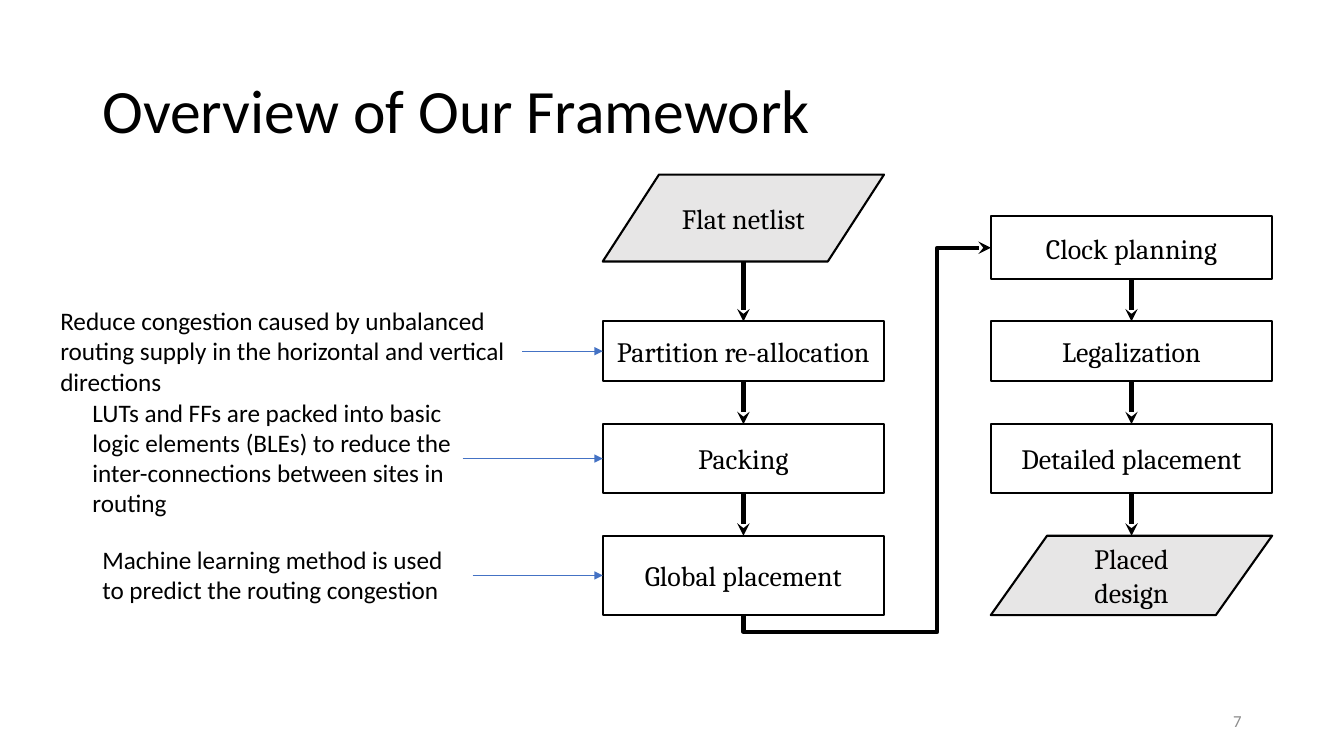
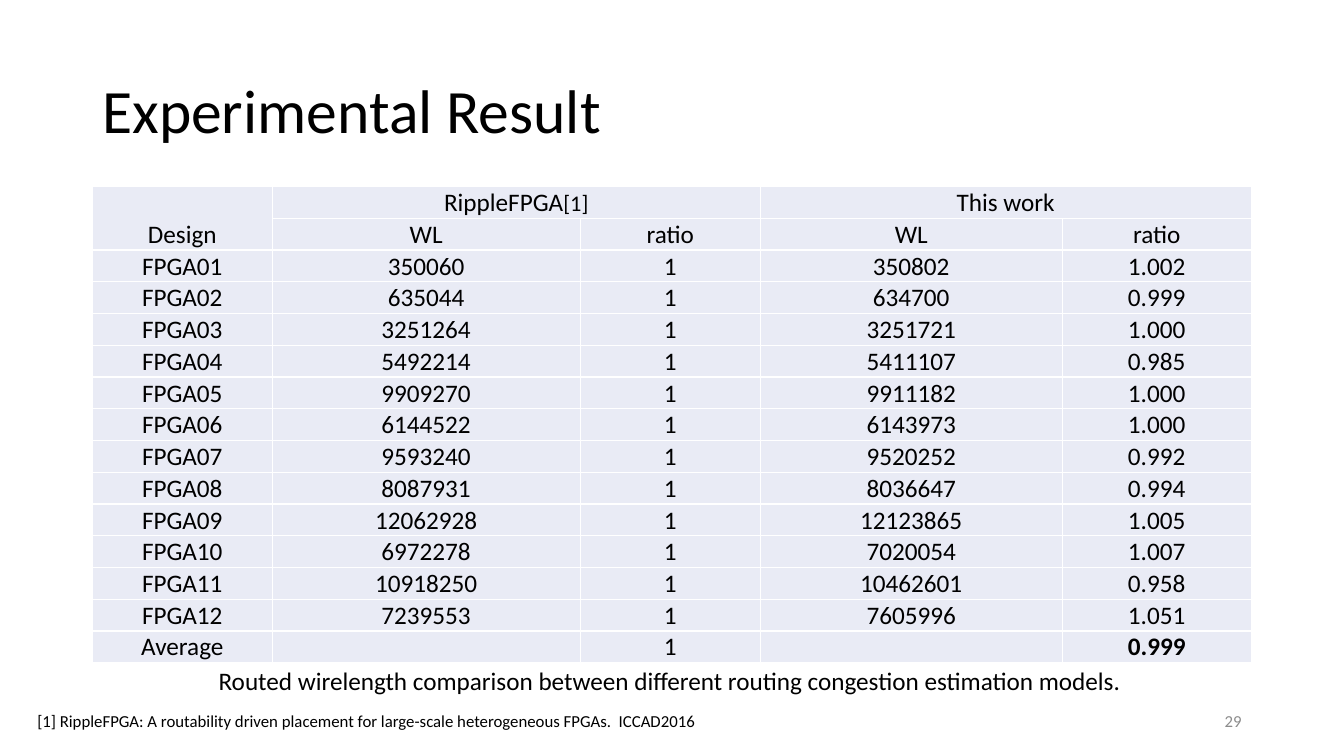
from dataclasses import dataclass

import lxml.etree
import pptx
import pptx.dml.color
import pptx.enum.shapes
import pptx.enum.text
import pptx.oxml.ns
import pptx.util

Cm = pptx.util.Cm
Pt = pptx.util.Pt
qn = pptx.oxml.ns.qn
ALIGN = pptx.enum.text.PP_ALIGN
ANCHOR = pptx.enum.text.MSO_ANCHOR
PRESET = pptx.enum.shapes.MSO_SHAPE
CONNECTOR = pptx.enum.shapes.MSO_CONNECTOR

# Shared look
BODY_FONT, FLOW_FONT = "Calibri", "Cambria"
BLACK, WHITE, GREY = "000000", "FFFFFF", "8C8C8C"
DATA_FILL, NOTE_BLUE, CELL_FILL = "E7E6E6", "4472C4", "E9EBF5"
MARGIN_LEFT, CONTENT_WIDTH = 2.33, 29.2

# Flowchart columns
STEP_WIDTH = 7.09
COLUMN_LEFT = (15.19, 24.97)
ELBOW_DROP, ELBOW_LEAD = 0.43, 1.35


@dataclass
class Step:
    text: str
    column: int
    top: float
    height: float
    is_data: bool = False

    @property
    def left(self) -> float:
        return COLUMN_LEFT[self.column]

    @property
    def center(self) -> float:
        return self.left + STEP_WIDTH / 2

    @property
    def middle(self) -> float:
        return self.top + self.height / 2

    @property
    def bottom(self) -> float:
        return self.top + self.height


@dataclass
class Note:
    text: str
    left: float
    top: float
    width: float
    height: float
    target: Step


STEPS = [
    Step("Flat netlist", 0, 4.4, 2.19, True),
    Step("Partition re-allocation", 0, 8.1, 1.5),
    Step("Packing", 0, 10.69, 1.73),
    Step("Global placement", 0, 13.5, 2),
    Step("Clock planning", 1, 5.45, 1.59),
    Step("Legalization", 1, 8.1, 1.5),
    Step("Detailed placement", 1, 10.69, 1.73),
    Step("Placed design", 1, 13.5, 2, True),
]
NOTES = [
    Note("Reduce congestion caused by unbalanced routing supply in the horizontal "
         "and vertical directions", 1.27, 7.57, 11.89, 2.57, STEPS[1]),
    Note("LUTs and FFs are packed into basic logic elements (BLEs) to reduce the "
         "inter-connections between sites in routing", 2.08, 9.88, 9.58, 3.33, STEPS[2]),
    Note("Machine learning method is used to predict the routing congestion",
         2.33, 13.59, 9.58, 1.8, STEPS[3]),
]

# Results table: design, wirelength, ratio, wirelength, ratio
COLUMN_WIDTHS = (4.53, 7.76, 4.54, 7.61, 4.76)
ROW_HEIGHT = 0.8
HEADER = [
    ("Design", "RippleFPGA", "", "This work", ""),
    ("", "WL", "ratio", "WL", "ratio"),
]
RESULTS = [
    ("350060", "350802", "1.002"),
    ("635044", "634700", "0.999"),
    ("3251264", "3251721", "1.000"),
    ("5492214", "5411107", "0.985"),
    ("9909270", "9911182", "1.000"),
    ("6144522", "6143973", "1.000"),
    ("9593240", "9520252", "0.992"),
    ("8087931", "8036647", "0.994"),
    ("12062928", "12123865", "1.005"),
    ("6972278", "7020054", "1.007"),
    ("10918250", "10462601", "0.958"),
    ("7239553", "7605996", "1.051"),
]
AVERAGE = ("Average", "", "1", "", "0.999")


def rgb(color: str) -> pptx.dml.color.RGBColor:
    return pptx.dml.color.RGBColor.from_string(color)


def style_text(text_frame, size: float, color: str = BLACK, font: str = BODY_FONT,
               align=ALIGN.LEFT) -> None:
    for paragraph in text_frame.paragraphs:
        paragraph.alignment = align
        for run in paragraph.runs:
            run.font.size = Pt(size)
            run.font.name = font
            run.font.color.rgb = rgb(color)


def add_text(slide, text: str, left: float, top: float, width: float, height: float,
             size: float, color: str = BLACK, align=ALIGN.LEFT, anchor=ANCHOR.TOP):
    text_frame = slide.shapes.add_textbox(Cm(left), Cm(top), Cm(width), Cm(height)).text_frame
    text_frame.text = text
    text_frame.word_wrap = True
    text_frame.vertical_anchor = anchor
    style_text(text_frame, size, color, align=align)
    return text_frame


def add_slide(presentation, title: str, number: int):
    slide = presentation.slides.add_slide(presentation.slide_layouts[6])
    text_frame = add_text(slide, title, MARGIN_LEFT, 1.02, CONTENT_WIDTH, 3.68, 44,
                          anchor=ANCHOR.MIDDLE)
    text_frame.paragraphs[0].line_spacing = 0.9
    add_text(slide, str(number), 23.92, 17.65, 7.62, 1.02, 12, GREY,
             ALIGN.RIGHT, ANCHOR.MIDDLE)
    return slide


# Flowchart parts
def add_step(slide, step: Step):
    preset = PRESET.FLOWCHART_DATA if step.is_data else PRESET.FLOWCHART_PROCESS
    shape = slide.shapes.add_shape(preset, Cm(step.left), Cm(step.top),
                                   Cm(STEP_WIDTH), Cm(step.height))
    shape.shadow.inherit = False
    if step.is_data:
        shape.fill.solid()
        shape.fill.fore_color.rgb = rgb(DATA_FILL)
    else:
        shape.fill.background()
    shape.line.color.rgb = rgb(BLACK)
    shape.line.width = Pt(1.5)
    shape.text_frame.text = step.text
    shape.text_frame.word_wrap = True
    shape.text_frame.vertical_anchor = ANCHOR.MIDDLE
    style_text(shape.text_frame, 20, font=FLOW_FONT, align=ALIGN.CENTER)
    return shape


def add_arrow(slide, start: tuple[float, float], end: tuple[float, float],
              color: str = BLACK, width: float = 3, head: str = "stealth",
              kind=CONNECTOR.STRAIGHT):
    connector = slide.shapes.add_connector(kind, *(Cm(value) for value in (*start, *end)))
    connector.line.color.rgb = rgb(color)
    connector.line.width = Pt(width)
    properties = connector.element.spPr
    lxml.etree.SubElement(properties.find(qn("a:ln")), qn("a:tailEnd"), type=head)
    lxml.etree.SubElement(properties, qn("a:effectLst"))
    return connector


def add_elbow_arrow(slide, source: Step, target: Step, source_shape, target_shape) -> None:
    """Leave the bottom of one step, climb between the columns, enter the next from its left."""
    start, end = (source.center, source.bottom), (target.left, target.middle)
    across, climb = end[0] - start[0], start[1] - end[1]
    connector = add_arrow(slide, start, end, kind=CONNECTOR.ELBOW)
    connector.begin_connect(source_shape, 2)
    connector.end_connect(target_shape, 1)
    # The frame is turned a quarter, so its width is the climb
    connector.left = Cm((start[0] + end[0] - climb) / 2)
    connector.top = Cm((start[1] + end[1] - across) / 2)
    connector.width, connector.height = Cm(climb), Cm(across)
    frame = connector.element.spPr.find(qn("a:xfrm"))
    for name, value in (("rot", "5400000"), ("flipH", "1"), ("flipV", "1")):
        frame.set(name, value)
    geometry = connector.element.spPr.find(qn("a:prstGeom"))
    geometry.set("prst", "bentConnector4")
    guides = geometry.find(qn("a:avLst"))
    ratios = (-ELBOW_DROP / climb, 1 - ELBOW_LEAD / across)
    for index, ratio in enumerate(ratios, start=1):
        lxml.etree.SubElement(guides, qn("a:gd"), name=f"adj{index}",
                              fmla=f"val {round(ratio * 100000)}")


def build_framework(presentation) -> None:
    slide = add_slide(presentation, "Overview of Our Framework", 7)
    shapes = [add_step(slide, step) for step in STEPS]
    for index, (step, following) in enumerate(zip(STEPS, STEPS[1:])):
        if step.column == following.column:
            add_arrow(slide, (step.center, step.bottom), (following.center, following.top))
        else:
            add_elbow_arrow(slide, step, following, shapes[index], shapes[index + 1])
    for note in NOTES:
        add_text(slide, note.text, note.left, note.top, note.width, note.height, 18)
        middle = note.target.middle
        add_arrow(slide, (note.left + note.width, middle), (note.target.left, middle),
                  NOTE_BLUE, 0.5, "triangle")


# Table parts
def style_cell(cell) -> None:
    cell.fill.solid()
    cell.fill.fore_color.rgb = rgb(CELL_FILL)
    cell.vertical_anchor = ANCHOR.BOTTOM
    cell.margin_left = cell.margin_right = cell.margin_top = Cm(0.02)
    cell.margin_bottom = 0
    style_text(cell.text_frame, 18, align=ALIGN.CENTER)
    properties = cell._tc.get_or_add_tcPr()
    for index, side in enumerate(("lnL", "lnR", "lnT", "lnB")):
        border = lxml.etree.Element(qn(f"a:{side}"), w=str(Pt(1)))
        fill = lxml.etree.SubElement(border, qn("a:solidFill"))
        lxml.etree.SubElement(fill, qn("a:srgbClr"), val=WHITE)
        properties.insert(index, border)


def add_results_table(slide) -> None:
    body = [(f"FPGA{index:02}", reference, "1", ours, ratio)
            for index, (reference, ours, ratio) in enumerate(RESULTS, start=1)]
    rows = [*HEADER, *body, AVERAGE]
    table = slide.shapes.add_table(
        len(rows), len(COLUMN_WIDTHS), Cm(MARGIN_LEFT), Cm(4.7),
        Cm(sum(COLUMN_WIDTHS)), Cm(ROW_HEIGHT * len(rows))).table
    table.first_row = table.horz_banding = False
    for column, width in zip(table.columns, COLUMN_WIDTHS):
        column.width = Cm(width)
    for row_index, texts in enumerate(rows):
        table.rows[row_index].height = Cm(ROW_HEIGHT)
        for column_index, text in enumerate(texts):
            cell = table.cell(row_index, column_index)
            cell.text_frame.text = text
            if text == "RippleFPGA":
                cell.text_frame.paragraphs[0].add_run().text = "[1]"
            style_cell(cell)
    table.cell(0, 1).text_frame.paragraphs[0].runs[1].font.size = Pt(16)
    table.cell(len(rows) - 1, 4).text_frame.paragraphs[0].runs[0].font.bold = True
    for first, last in (((0, 0), (1, 0)), ((0, 1), (0, 2)), ((0, 3), (0, 4))):
        table.cell(*first).merge(table.cell(*last))


def build_results(presentation) -> None:
    slide = add_slide(presentation, "Experimental Result", 29)
    add_results_table(slide)
    add_text(slide, "Routed wirelength comparison between different routing congestion "
             "estimation models.", 5.26, 16.64, 24, 1.02, 18)
    add_text(slide, "[1] RippleFPGA: A routability driven placement for large-scale "
             "heterogeneous FPGAs.  ICCAD2016", 0.69, 17.78, 23.67, 0.76, 12)


def main() -> None:
    presentation = pptx.Presentation()
    presentation.slide_width, presentation.slide_height = Cm(33.87), Cm(19.05)
    build_framework(presentation)
    build_results(presentation)
    presentation.save("out.pptx")


if __name__ == "__main__":
    main()
